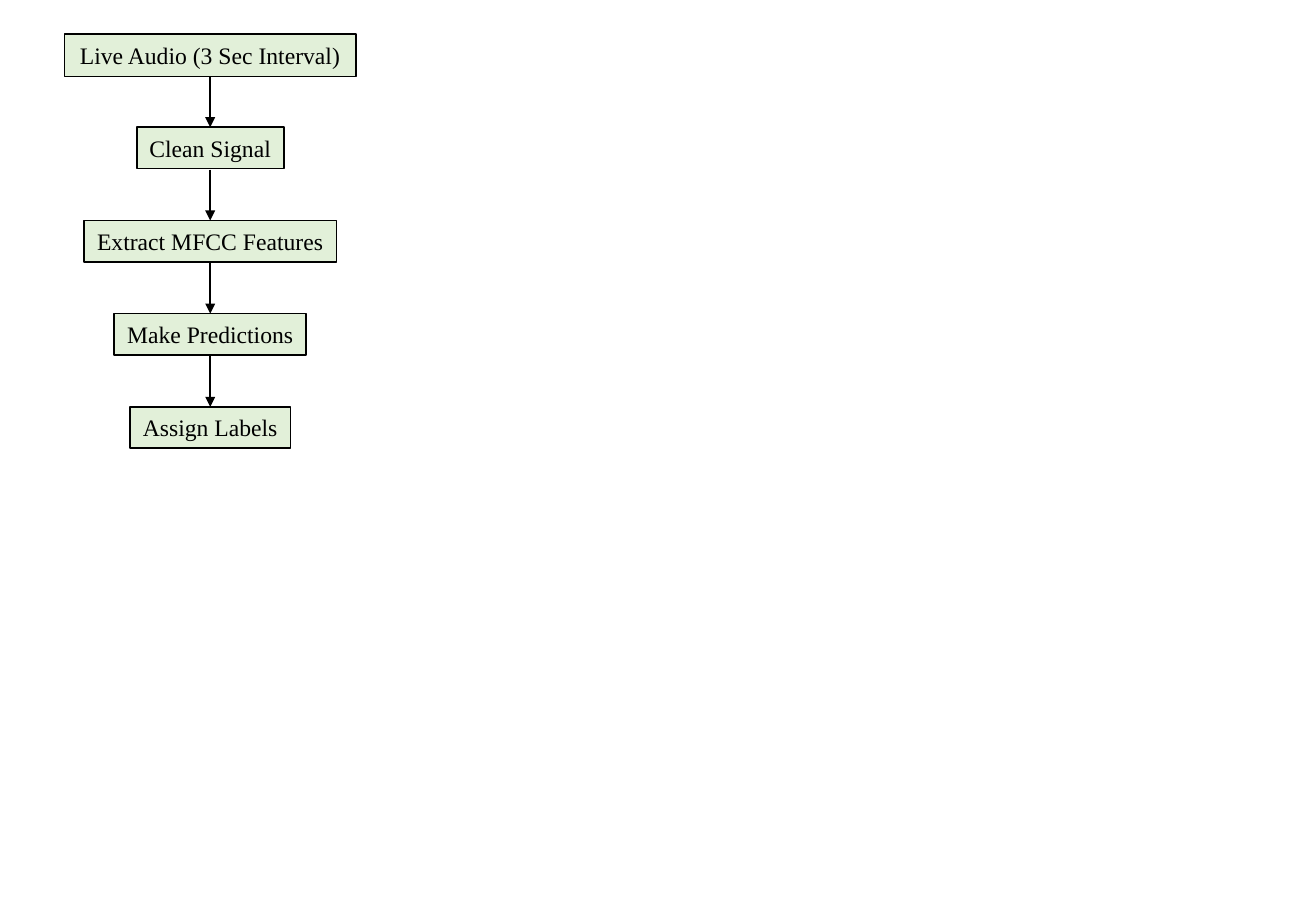
from dataclasses import dataclass

from lxml.etree import SubElement
from pptx import Presentation
from pptx.dml.color import RGBColor
from pptx.enum.shapes import MSO_CONNECTOR, MSO_SHAPE
from pptx.enum.text import MSO_ANCHOR, MSO_AUTO_SIZE, PP_ALIGN
from pptx.oxml.ns import qn
from pptx.util import Inches, Pt


@dataclass(frozen=True)
class Theme:
    fill: RGBColor = RGBColor(0xE2, 0xF0, 0xD9)
    ink: RGBColor = RGBColor(0, 0, 0)
    font: str = "Times New Roman"
    size: int = 14
    line: int = 1


THEME = Theme()

# Label and box width in inches, from top to bottom
STEPS = [
    ("Live Audio (3 Sec Interval)", 2.4),
    ("Clean Signal", 1.21),
    ("Extract MFCC Features", 2.08),
    ("Make Predictions", 1.58),
    ("Assign Labels", 1.32),
]
FIRST_HEIGHT, STEP_HEIGHT = 0.35, 0.34


def write_text(tf, text, size=THEME.size, color=THEME.ink, align=PP_ALIGN.CENTER):
    tf.word_wrap = False
    tf.auto_size = MSO_AUTO_SIZE.SHAPE_TO_FIT_TEXT
    tf.vertical_anchor = MSO_ANCHOR.MIDDLE
    p = tf.paragraphs[0]
    p.alignment = align
    r = p.add_run()
    r.text = text
    r.font.name = THEME.font
    r.font.size = Pt(size)
    r.font.color.rgb = color


def style_line(line):
    line.color.rgb = THEME.ink
    line.width = Pt(THEME.line)


def add_step(slide, text, center, top, width, height):
    sp = slide.shapes.add_shape(
        MSO_SHAPE.RECTANGLE, Inches(center - width / 2), Inches(top),
        Inches(width), Inches(height))
    sp.shadow.inherit = False
    sp.fill.solid()
    sp.fill.fore_color.rgb = THEME.fill
    style_line(sp.line)
    write_text(sp.text_frame, text)


def add_arrow(slide, x, start, end):
    cx = slide.shapes.add_connector(
        MSO_CONNECTOR.STRAIGHT, Inches(x), Inches(start), Inches(x), Inches(end))
    style_line(cx.line)
    SubElement(cx.line._get_or_add_ln(), qn("a:tailEnd"), type="triangle")
    SubElement(cx._element.spPr, qn("a:effectLst"))


def add_flow(slide, left, top, width, height):
    """Stack the steps at an equal pitch, centred in the given box."""
    center = left + width / 2
    pitch = (height - STEP_HEIGHT) / (len(STEPS) - 1)
    for i, (text, step_width) in enumerate(STEPS):
        y = top + i * pitch
        step_height = STEP_HEIGHT if i else FIRST_HEIGHT
        add_step(slide, text, center, y, step_width, step_height)
        # Arrow down to the next step
        if i < len(STEPS) - 1:
            add_arrow(slide, center, y + FIRST_HEIGHT, y + pitch)


def main():
    prs = Presentation()
    prs.slide_width, prs.slide_height = Inches(10.83), Inches(7.5)
    slide = prs.slides.add_slide(prs.slide_layouts[6])
    add_flow(slide, left=0.53, top=0.28, width=2.4, height=3.41)
    prs.save("out.pptx")


if __name__ == "__main__":
    main()
